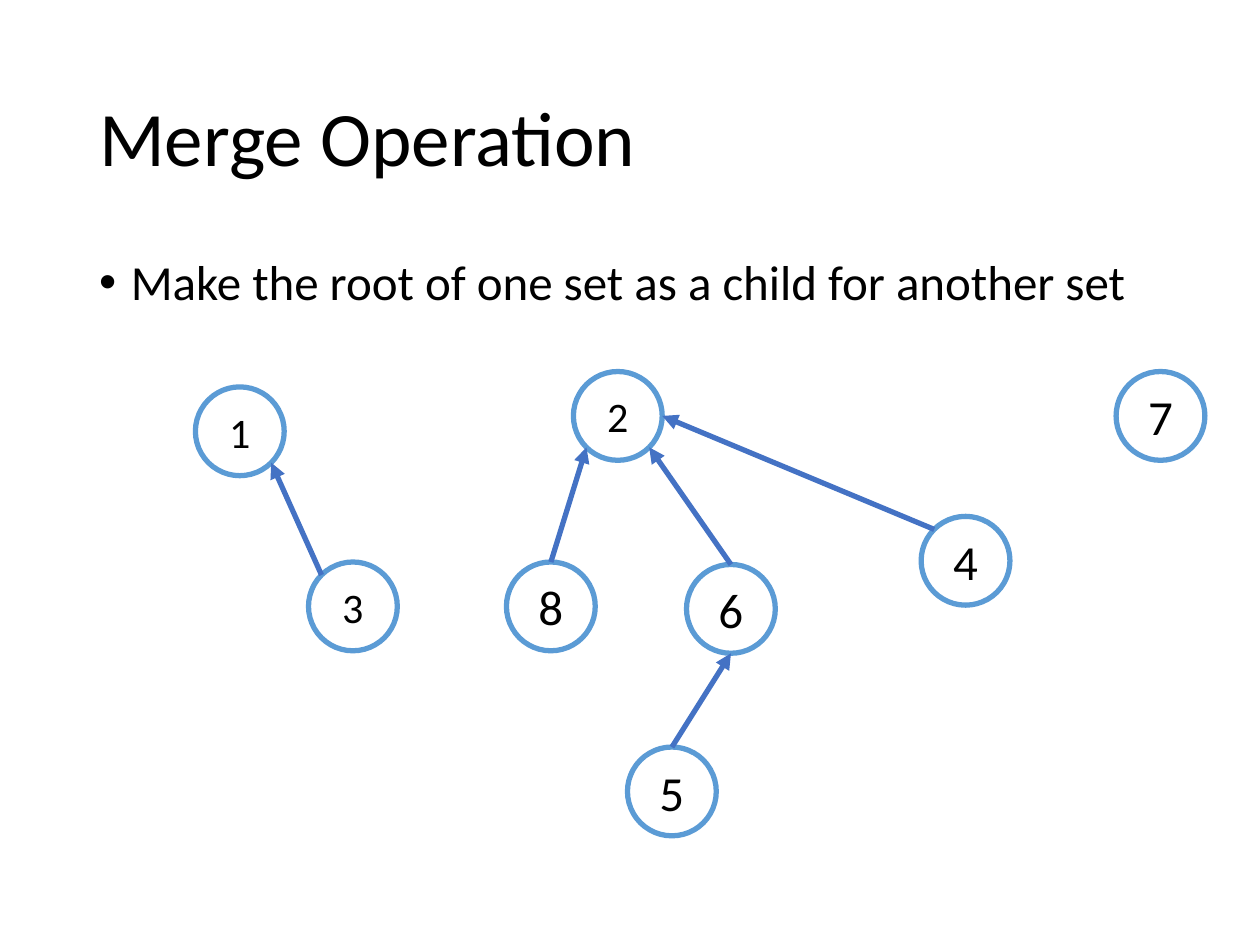
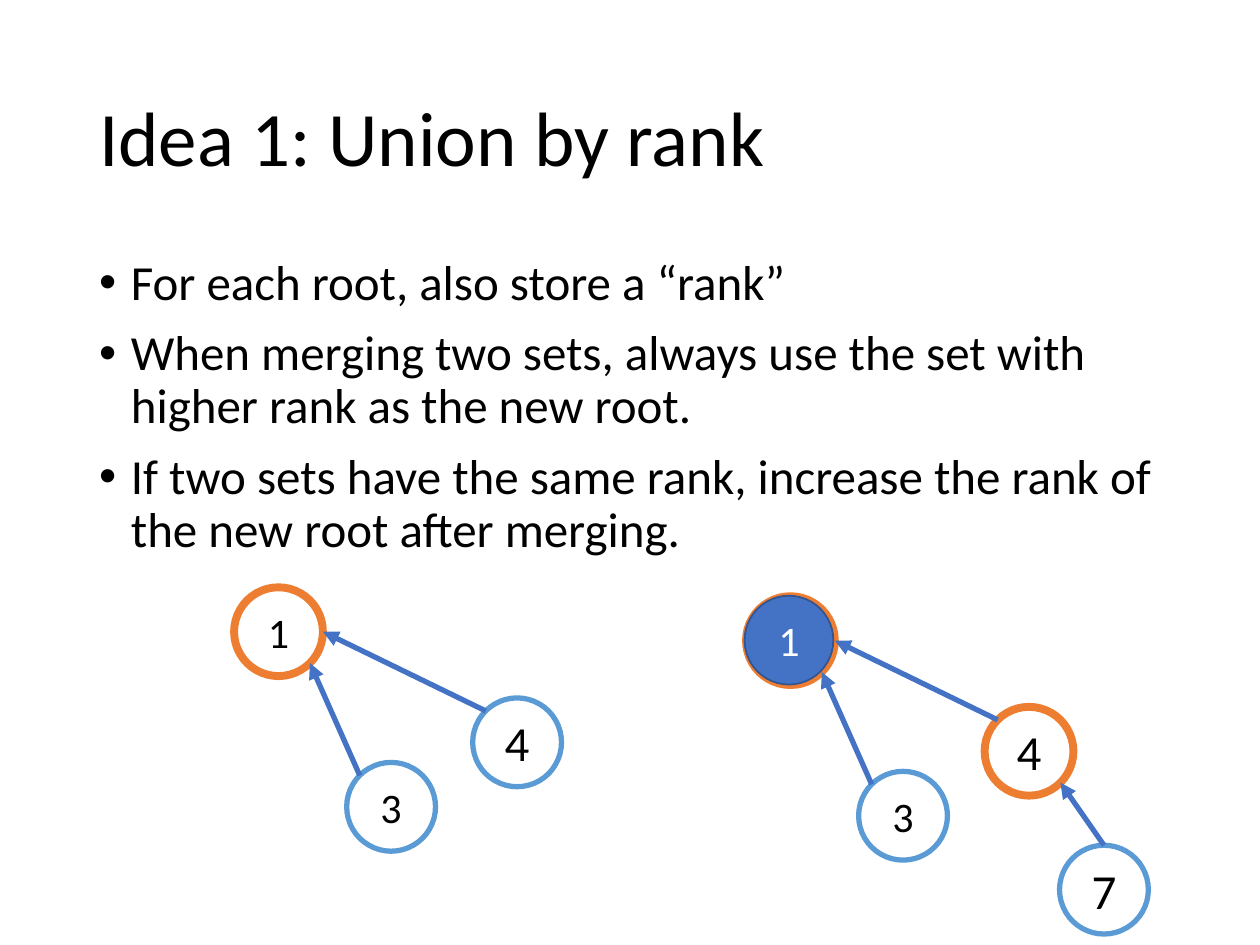
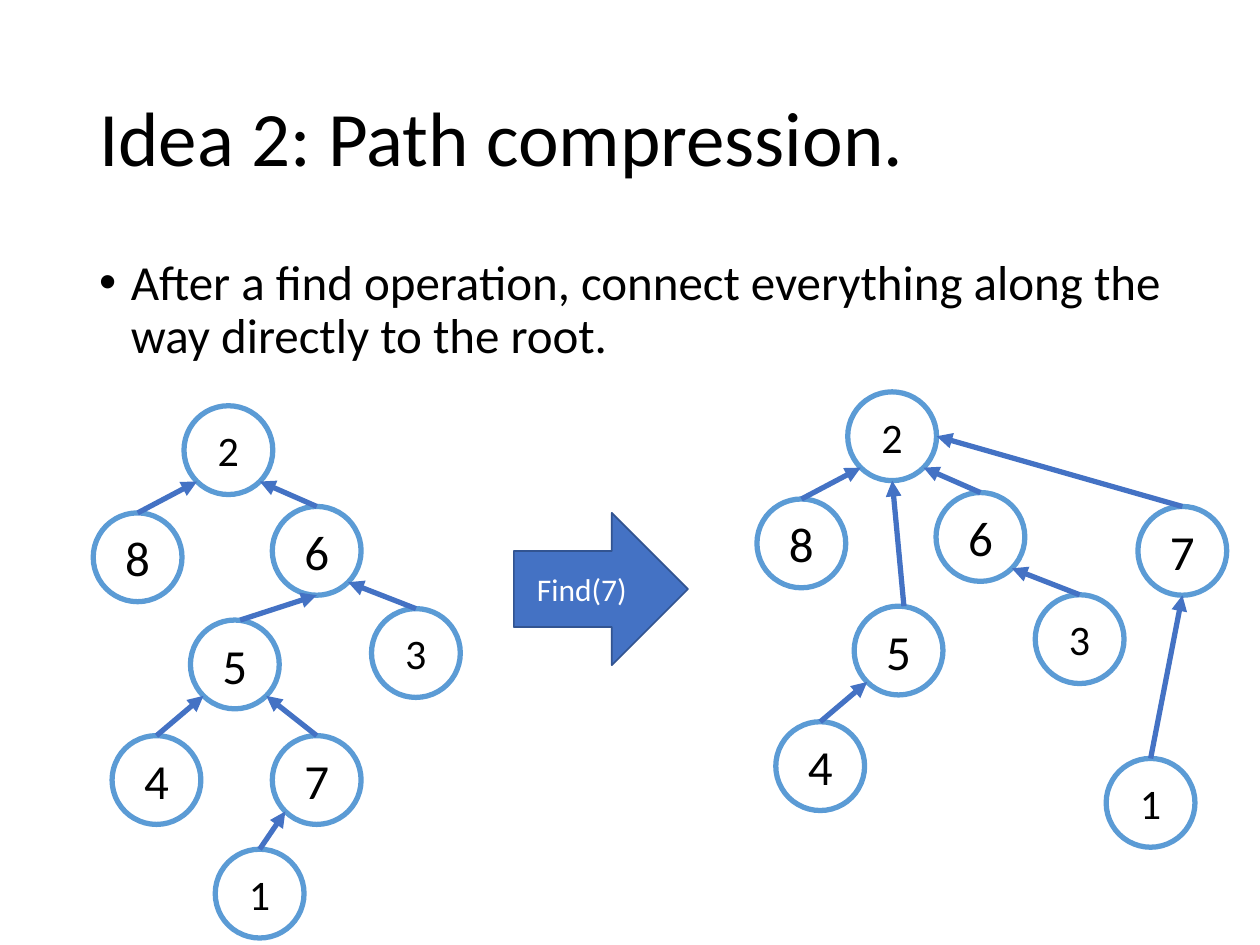
"""Three slides on disjoint sets: merging, union by rank and path compression."""
from lxml import etree
from pptx import Presentation
from pptx.dml.color import RGBColor
from pptx.enum.shapes import MSO_CONNECTOR, MSO_SHAPE
from pptx.enum.text import MSO_ANCHOR, PP_ALIGN
from pptx.oxml.ns import qn
from pptx.util import Cm, Pt

CIRCLE, BLOCK_ARROW = MSO_SHAPE.OVAL, MSO_SHAPE.RIGHT_ARROW
STRAIGHT = MSO_CONNECTOR.STRAIGHT
TOP_ANCHOR, MIDDLE = MSO_ANCHOR.TOP, MSO_ANCHOR.MIDDLE
LEFT_ALIGN, CENTER = PP_ALIGN.LEFT, PP_ALIGN.CENTER

BLACK, WHITE = "000000", "FFFFFF"
BLUE, DARK_BLUE, LIGHT_BLUE, ORANGE = "4472C4", "325491", "5B9BD5", "ED7D31"

# Where an arrow meets a circle, in radii from its centre.
DIAGONAL = 0.707
TOP, BOTTOM, RIGHT = (0, -1), (0, 1), (1, 0)
TOP_LEFT = (-DIAGONAL, -DIAGONAL)
BOTTOM_LEFT, BOTTOM_RIGHT = (-DIAGONAL, DIAGONAL), (DIAGONAL, DIAGONAL)
NEAR_TOP = (0.12, -1)


def color(hex_code):
    """Turn a hex string into a colour."""
    return RGBColor.from_string(hex_code)


def shifted(places, right, down):
    """Move every circle of a tree by the same distance."""
    return {name: (x + right, y + down) for name, (x, y) in places.items()}


class TreeDeck:
    """Holds the deck's style and the slide being drawn."""

    font = "Calibri"
    diameter = 1.79
    small_labels = "123"

    def __init__(self):
        """Start an empty 4:3 deck."""
        self.deck = Presentation()
        self.deck.slide_width, self.deck.slide_height = Cm(25.4), Cm(19.05)
        self.page = None
        self.canvas = None

    def add_page(self, title, bullets):
        """Add a slide with its title and bulleted text."""
        self.page = self.deck.slides.add_slide(self.deck.slide_layouts[6])
        self.canvas = self.page.shapes
        self.text_box(1.02, 3.68, [title], 44, MIDDLE)
        box = self.text_box(5.08, 12.09, bullets, 28, TOP_ANCHOR)
        for para in box.text_frame.paragraphs:
            para.space_before = Pt(10)
            self.add_bullet(para)

    def start_group(self):
        """Put what follows into a group on the current slide."""
        self.canvas = self.page.shapes.add_group_shape().shapes

    def add_run(self, para, text, size, text_color):
        """Add one run of styled text."""
        span = para.add_run()
        span.text = text
        span.font.name, span.font.size = self.font, Pt(size)
        span.font.color.rgb = color(text_color)

    def text_box(self, top, height, lines, size, anchor):
        """Add a text box as wide as the slide's content."""
        box = self.canvas.add_textbox(Cm(1.75), Cm(top), Cm(21.9), Cm(height))
        frame = box.text_frame
        frame.word_wrap, frame.vertical_anchor = True, anchor
        for index, line in enumerate(lines):
            para = frame.add_paragraph() if index else frame.paragraphs[0]
            para.alignment, para.line_spacing = LEFT_ALIGN, 0.9
            self.add_run(para, line, size, BLACK)
        return box

    def add_bullet(self, para):
        """Give a paragraph a hanging round bullet."""
        props = para._p.get_or_add_pPr()
        props.set("marL", str(Cm(0.64)))
        props.set("indent", str(-Cm(0.64)))
        etree.SubElement(props, qn("a:buFont")).set("typeface", "Arial")
        etree.SubElement(props, qn("a:buChar")).set("char", "\u2022")

    def shape(self, kind, place, text, size, fill, line, line_width, text_color):
        """Add a filled shape with a centred label."""
        shape = self.canvas.add_shape(kind, *(Cm(length) for length in place))
        shape.shadow.inherit = False
        shape.fill.solid()
        shape.fill.fore_color.rgb = color(fill)
        shape.line.color.rgb, shape.line.width = color(line), Pt(line_width)
        shape.text_frame.vertical_anchor = MIDDLE
        para = shape.text_frame.paragraphs[0]
        para.alignment = CENTER
        self.add_run(para, text, size, text_color)

    def node(self, label, place, fill=WHITE, line=LIGHT_BLUE, line_width=3,
             text_color=BLACK):
        """Add one tree circle, given its left and top."""
        size = 24 if label in self.small_labels else 28
        self.shape(CIRCLE, (*place, self.diameter, self.diameter), label, size,
                   fill, line, line_width, text_color)

    def site(self, place, direction):
        """Find a point on a circle's rim."""
        radius = self.diameter / 2
        return [Cm(start + radius * (1 + step))
                for start, step in zip(place, direction)]

    def arrow(self, begin, end):
        """Add an arrow between two points."""
        arrow = self.canvas.add_connector(STRAIGHT, *begin, *end)
        arrow.line.color.rgb, arrow.line.width = color(BLUE), Pt(3)
        props = arrow.element.spPr
        head = etree.SubElement(props.find(qn("a:ln")), qn("a:tailEnd"))
        head.set("type", "triangle")
        etree.SubElement(props, qn("a:effectLst"))

    def tree(self, places, links, marked=""):
        """Add circles, marked ones in orange, and child-to-parent arrows."""
        for label, place in places.items():
            if label in marked:
                self.node(label, place, line=ORANGE, line_width=4.5)
            else:
                self.node(label, place)
        for child, leave, parent, reach in links:
            self.arrow(self.site(places[child], leave),
                       self.site(places[parent], reach))


talk = TreeDeck()

# Merge operation
talk.add_page("Merge Operation",
              ["Make the root of one set as a child for another set"])
talk.tree(
    {"1": (3.94, 7.8), "3": (6.22, 11.33), "2": (11.56, 7.49),
     "8": (10.21, 11.33), "6": (13.84, 11.38), "5": (12.65, 15.06),
     "4": (18.57, 10.41), "7": (22.5, 7.49)},
    [("3", TOP_LEFT, "1", BOTTOM_RIGHT), ("8", TOP, "2", BOTTOM_LEFT),
     ("6", TOP, "2", BOTTOM_RIGHT), ("5", TOP, "6", BOTTOM),
     ("4", TOP_LEFT, "2", RIGHT)])

# Union by rank
talk.add_page("Idea 1: Union by rank", [
    "For each root, also store a \u201crank\u201d",
    "When merging two sets, always use the set with higher rank as the new root.",
    "If two sets have the same rank, increase the rank of the new root after "
    "merging."])
ranked = {"1": (4.72, 11.84), "3": (6.99, 15.37), "4": (9.53, 14.07)}
ranked_links = [("3", TOP_LEFT, "1", BOTTOM_RIGHT), ("4", TOP_LEFT, "1", RIGHT)]
talk.tree(ranked, ranked_links, marked="1")
merged = shifted(ranked, 10.32, 0.18)
merged["7"] = (21.36, 17.04)
talk.tree(merged, ranked_links + [("7", TOP, "4", BOTTOM_RIGHT)], marked="14")
talk.node("1", (15.01, 12.01), BLUE, DARK_BLUE, 1, WHITE)

# Path compression
talk.add_page("Idea 2: Path compression.", [
    "After a find operation, connect everything along the way directly to the "
    "root."])
deep = {"2": (3.71, 8.18), "8": (1.88, 10.34), "6": (5.49, 10.21),
        "5": (3.84, 12.5), "3": (7.49, 12.27), "4": (2.26, 14.83),
        "7": (5.49, 14.83), "1": (4.34, 17.12)}
kept_links = [("8", TOP, "2", BOTTOM_LEFT), ("6", TOP, "2", BOTTOM_RIGHT),
              ("4", TOP, "5", BOTTOM_LEFT), ("3", TOP, "6", BOTTOM_RIGHT)]
talk.tree(deep, kept_links + [
    ("5", NEAR_TOP, "6", BOTTOM), ("7", TOP, "5", BOTTOM_RIGHT),
    ("1", TOP, "7", BOTTOM_LEFT)])
talk.shape(BLOCK_ARROW, (10.36, 10.34, 3.51, 3.07), "Find(7)", 18,
           BLUE, DARK_BLUE, 1, WHITE)
talk.start_group()
flat = shifted(deep, 13.38, -0.28)
flat.update({"7": (22.94, 10.21), "1": (22.3, 15.29)})
talk.tree(flat, kept_links + [
    ("5", NEAR_TOP, "2", BOTTOM), ("7", TOP, "2", RIGHT),
    ("1", TOP, "7", BOTTOM)])

talk.deck.save("out.pptx")
